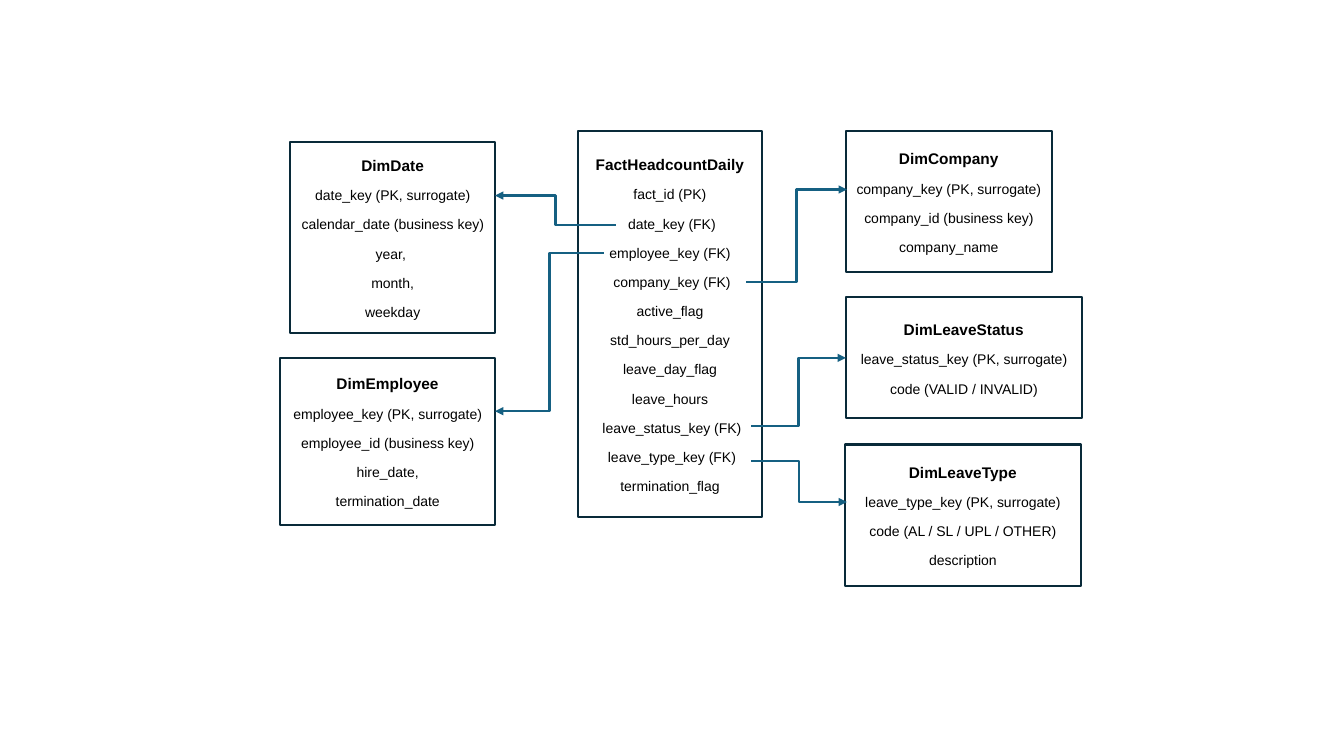
from lxml import etree
from pptx import Presentation
from pptx.dml.color import RGBColor
from pptx.enum.shapes import MSO_CONNECTOR, MSO_SHAPE
from pptx.enum.text import MSO_ANCHOR, PP_ALIGN
from pptx.oxml.ns import qn
from pptx.util import Inches, Pt

RECTANGLE = MSO_SHAPE.RECTANGLE
ELBOW = MSO_CONNECTOR.ELBOW
MIDDLE = MSO_ANCHOR.MIDDLE
CENTER = PP_ALIGN.CENTER

# Content: (table name, (left, top, width, height), columns)
TABLES = [
    ("FactHeadcountDaily", (5.73, 1.3, 1.83, 3.83), [
        "fact_id (PK)", " date_key (FK)", "employee_key (FK)",
        " company_key (FK)", "active_flag", "std_hours_per_day",
        "leave_day_flag", "leave_hours", " leave_status_key (FK)",
        " leave_type_key (FK)", "termination_flag"]),
    ("DimDate", (2.88, 1.41, 2.03, 1.89), [
        "date_key (PK, surrogate)", "calendar_date (business key)",
        "year, ", "month,", "weekday"]),
    ("DimEmployee", (2.78, 3.55, 2.13, 1.66), [
        "employee_key (PK, surrogate)", "employee_id (business key)",
        "hire_date,", "termination_date"]),
    ("DimCompany", (8.39, 1.3, 2.04, 1.4), [
        "company_key (PK, surrogate)", "company_id (business key)",
        "company_name"]),
    ("DimLeaveType", (8.38, 4.41, 2.34, 1.4), [
        "leave_type_key (PK, surrogate)", "code (AL / SL / UPL / OTHER)",
        "description"]),
    ("DimLeaveStatus", (8.39, 2.95, 2.34, 1.2), [
        "leave_status_key (PK, surrogate)", "code (VALID / INVALID)"]),
]

# Foreign key to primary key: (start x, start y, end x, end y)
RELATIONS = {
    "date": (6.11, 2.23, 4.91, 1.94),
    "employee": (5.99, 2.51, 4.91, 4.08),
    "company": (7.4, 2.8, 8.4, 1.88),
    "leave status": (7.45, 4.23, 8.39, 3.55),
    "leave type": (7.45, 4.57, 8.4, 4.98),
}

THEME = {
    "font": "Arial",
    "text": RGBColor.from_string("000000"),
    "border": RGBColor.from_string("092A39"),
    "relation": RGBColor.from_string("156082"),
    "name_size": Pt(11),
    "column_size": Pt(10),
    "line_width": Pt(1.5),
    "line_spacing": 1.07,
    "space_after": Pt(8),
    "side_inset": Inches(0.05),
}


def write_line(paragraph, text, *, size, bold=False):
    paragraph.alignment = CENTER
    paragraph.line_spacing = THEME["line_spacing"]
    paragraph.space_after = THEME["space_after"]
    run = paragraph.add_run()
    run.text = text
    run.font.name = THEME["font"]
    run.font.size = size
    run.font.bold = bold
    run.font.color.rgb = THEME["text"]


def draw_table(slide, name, place, columns):
    box = slide.shapes.add_shape(RECTANGLE, *map(Inches, place))
    box.shadow.inherit = False
    box.fill.background()
    box.line.color.rgb = THEME["border"]
    box.line.width = THEME["line_width"]
    frame = box.text_frame
    frame.word_wrap = True
    frame.vertical_anchor = MIDDLE
    frame.margin_left = frame.margin_right = THEME["side_inset"]
    write_line(frame.paragraphs[0], name, size=THEME["name_size"], bold=True)
    for column in columns:
        write_line(frame.add_paragraph(), column, size=THEME["column_size"])


def draw_relation(slide, ends):
    relation = slide.shapes.add_connector(ELBOW, *map(Inches, ends))
    relation.line.color.rgb = THEME["relation"]
    relation.line.width = THEME["line_width"]
    # Arrowhead at the primary key, no shadow
    outline = relation.line._get_or_add_ln()
    etree.SubElement(outline, qn("a:tailEnd"), type="triangle")
    etree.SubElement(relation._element.spPr, qn("a:effectLst"))


def main():
    deck = Presentation()
    deck.slide_width = Inches(13.33)
    deck.slide_height = Inches(7.5)
    # The diagram has no title, so the blank layout fits
    slide = deck.slides.add_slide(deck.slide_layouts[6])

    # Fact and dimension tables
    for name, place, columns in TABLES:
        draw_table(slide, name, place, columns)

    # Key relations
    for ends in RELATIONS.values():
        draw_relation(slide, ends)

    deck.save("out.pptx")


if __name__ == "__main__":
    main()
